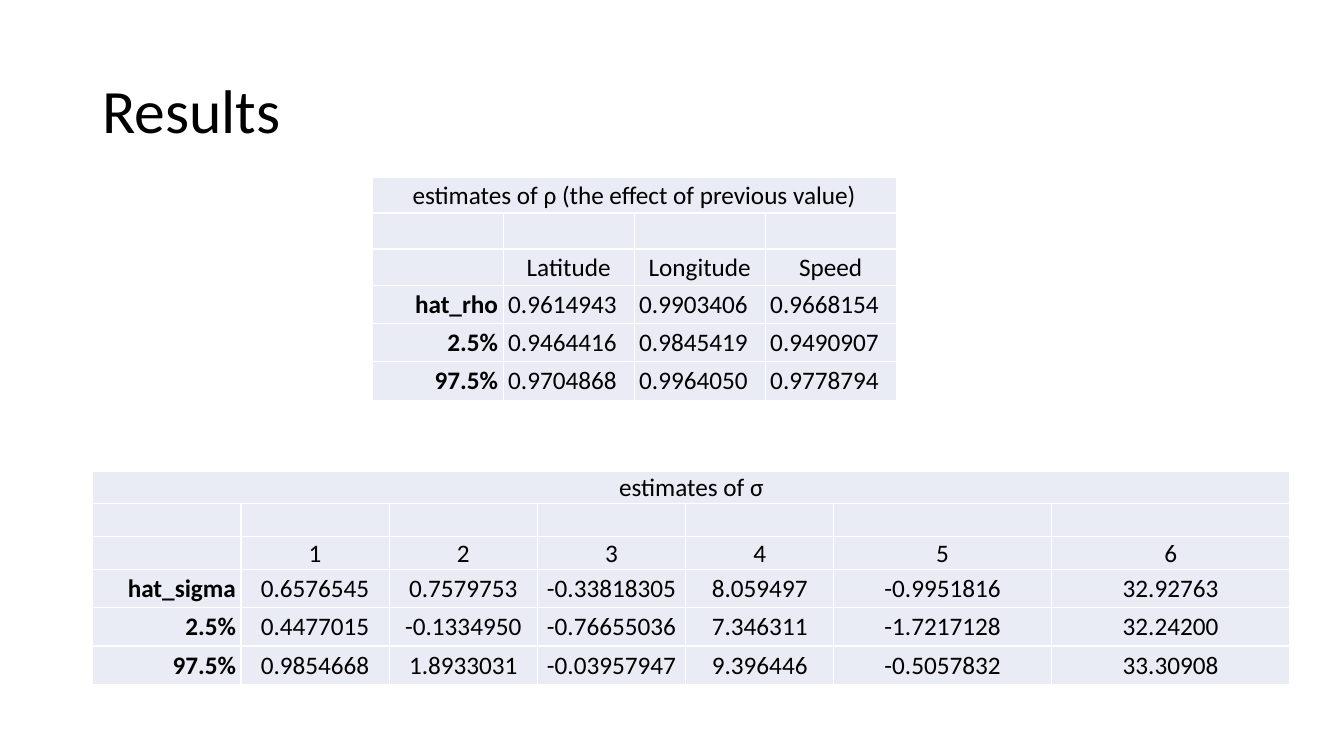
"""Build the Results slide with its two tables of estimates."""
import dataclasses
import typing

import lxml.etree
import pptx
import pptx.dml.color
import pptx.enum.text
import pptx.oxml.ns
import pptx.util

ALIGN = pptx.enum.text.PP_ALIGN
MIDDLE = pptx.enum.text.MSO_ANCHOR.MIDDLE
GRID_COLS, GRID_ROWS = 160, 90
HEADER_ROWS = 3


@dataclasses.dataclass(frozen=True)
class Theme:
    font: str = "Calibri"
    ink: str = "000000"
    cell: str = "E9EBF5"
    rule: str = "FFFFFF"
    title_pt: int = 44
    body_pt: int = 18
    rule_pt: int = 1


@dataclasses.dataclass(frozen=True)
class Estimates:
    caption: str
    left: float
    top: float
    cols: list[float]
    rows: list[float]
    heads: list[str]
    data: list[list[str]]
    align: ALIGN


THEME = Theme()
TIGHT = {"margin_left": 0.01, "margin_right": 0.01, "margin_top": 0.01, "margin_bottom": 0}
LOOSE = {"margin_left": 0.05, "margin_right": 0.05, "margin_top": 0.04, "margin_bottom": 0.04}

TABLES = [
    Estimates(
        "estimates of ρ (the effect of previous value)", 44.3, 21.15,
        [15.6] * 4, [4.2, 4.3, 4.3, 4.3, 4.3, 4.6],
        ["Latitude", "Longitude", "Speed"],
        [["hat_rho", "0.9614943", "0.9903406", "0.9668154"],
         ["2.5%", "0.9464416", "0.9845419", "0.9490907"],
         ["97.5%", "0.9704868", "0.9964050", "0.9778794"]],
        ALIGN.LEFT),
    Estimates(
        "estimates of σ", 11.04, 56.15,
        [17.65] * 5 + [25.9, 28.4], [3.75, 3.95, 3.95, 3.75, 3.75, 3.95],
        ["1", "2", "3", "4", "5", "6"],
        [["hat_sigma", "0.6576545", "0.7579753", "-0.33818305", "8.059497", "-0.9951816", "32.92763"],
         ["2.5%", "0.4477015", "-0.1334950", "-0.76655036", "7.346311", "-1.7217128", "32.24200"],
         ["97.5%", "0.9854668", "1.8933031", "-0.03957947", "9.396446", "-0.5057832", "33.30908"]],
        ALIGN.CENTER),
]


def apply(target: typing.Any, values: dict[str, typing.Any]) -> None:
    for name, value in values.items():
        setattr(target, name, value)


def write(tf: typing.Any, text: str, size: int, align: ALIGN, bold: bool = False) -> None:
    p = tf.paragraphs[0]
    p.alignment = align
    r = p.add_run()
    r.text = text
    apply(r.font, {"name": THEME.font, "size": pptx.util.Pt(size), "bold": bold})
    r.font.color.rgb = pptx.dml.color.RGBColor.from_string(THEME.ink)


def style_cell(cell: typing.Any, margins: dict[str, float]) -> None:
    qn = pptx.oxml.ns.qn
    tc_pr = cell._tc.get_or_add_tcPr()
    for side in ("lnL", "lnR", "lnT", "lnB"):
        ln = lxml.etree.SubElement(tc_pr, qn(f"a:{side}"), w=str(pptx.util.Pt(THEME.rule_pt)))
        fill = lxml.etree.SubElement(ln, qn("a:solidFill"))
        lxml.etree.SubElement(fill, qn("a:srgbClr"), val=THEME.rule)
    cell.fill.solid()
    cell.fill.fore_color.rgb = pptx.dml.color.RGBColor.from_string(THEME.cell)
    apply(cell, {name: pptx.util.Inches(v) for name, v in margins.items()})
    cell.vertical_anchor = MIDDLE


def add_estimates(s: typing.Any, spec_: Estimates, x: typing.Callable, y: typing.Callable) -> None:
    n = len(spec_.cols)
    blank = [""] * (n - 1)
    grid = [[spec_.caption, *blank], ["", *blank], ["", *spec_.heads], *spec_.data]
    tbl = s.shapes.add_table(len(grid), n, x(spec_.left), y(spec_.top),
                             x(sum(spec_.cols)), y(sum(spec_.rows))).table
    apply(tbl, {"first_row": False, "horz_banding": False})
    for col, width in zip(tbl.columns, spec_.cols):
        col.width = x(width)
    for row, height in zip(tbl.rows, spec_.rows):
        row.height = y(height)
    for i, texts in enumerate(grid):
        header = i < HEADER_ROWS
        for j, text in enumerate(texts):
            cell = tbl.cell(i, j)
            style_cell(cell, TIGHT if header else LOOSE)
            label = not header and j == 0
            align = ALIGN.CENTER if header else ALIGN.RIGHT if label else spec_.align
            if text:
                write(cell.text_frame, text, THEME.body_pt, align, label)
    tbl.cell(0, 0).merge(tbl.cell(0, n - 1))


def main() -> None:
    prs = pptx.Presentation()
    apply(prs, {"slide_width": pptx.util.Inches(13.33), "slide_height": pptx.util.Inches(7.5)})
    s = prs.slides.add_slide(prs.slide_layouts[6])

    def x(cols: float) -> int:
        return round(prs.slide_width * cols / GRID_COLS)

    def y(rows: float) -> int:
        return round(prs.slide_height * rows / GRID_ROWS)

    tf = s.shapes.add_textbox(x(11), y(4.8), x(138), y(17.4)).text_frame
    apply(tf, {"word_wrap": True, "vertical_anchor": MIDDLE})
    write(tf, "Results", THEME.title_pt, ALIGN.LEFT)
    tf.paragraphs[0].line_spacing = 0.9
    for estimates in TABLES:
        add_estimates(s, estimates, x, y)
    prs.save("out.pptx")


if __name__ == "__main__":
    main()
